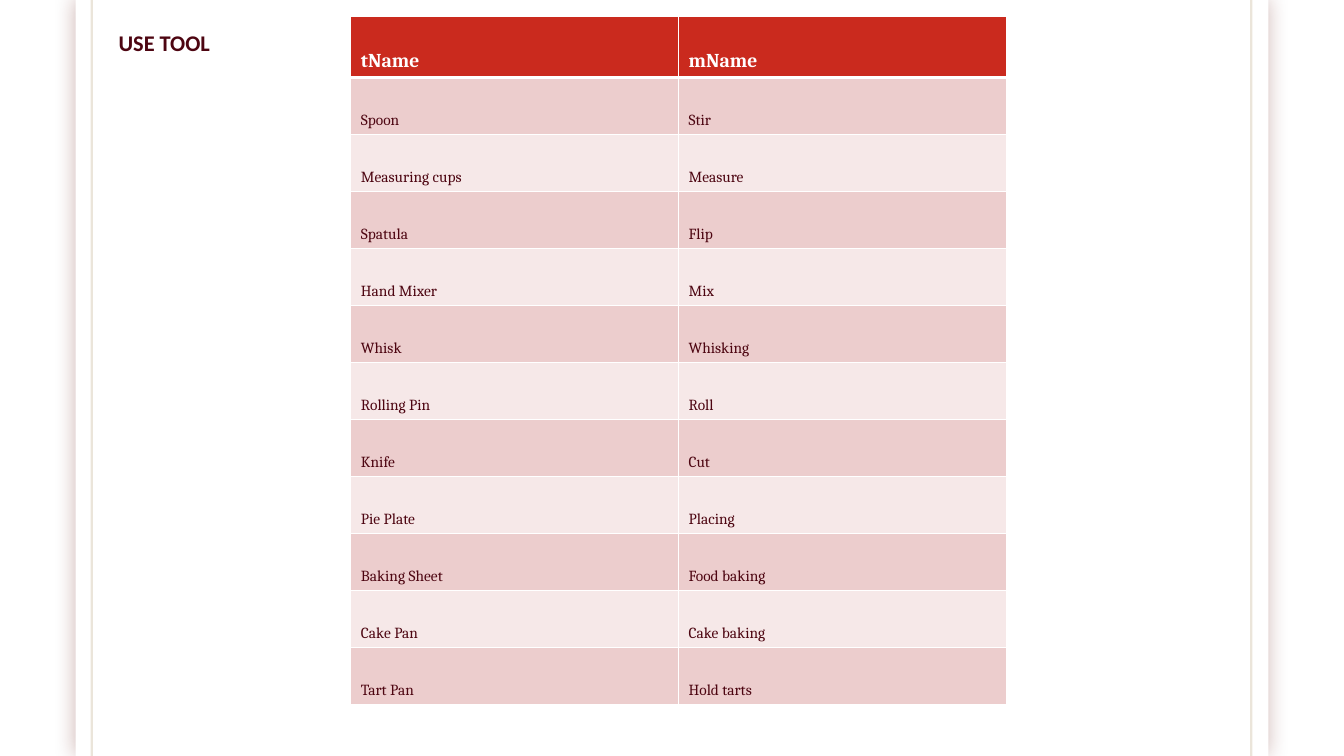
import pptx
import pptx.dml.color
import pptx.enum.shapes
import pptx.enum.text
import pptx.oxml
import pptx.oxml.ns
import pptx.util

Inches = pptx.util.Inches
Pt = pptx.util.Pt
RGBColor = pptx.dml.color.RGBColor

WHITE = RGBColor(0xFF, 0xFF, 0xFF)
MAROON = RGBColor(0x4D, 0x05, 0x11)
RED = RGBColor(0xCA, 0x2A, 0x1E)
ROSE = RGBColor(0xEC, 0xCD, 0xCD)
BLUSH = RGBColor(0xF6, 0xE8, 0xE8)
BROWN = RGBColor(0x79, 0x54, 0x0B)
SHADOW = RGBColor(0x65, 0x15, 0x0F)

SLIDE_HEIGHT = Inches(7.5)
HEADER_HEIGHT = Inches(0.61)
ROWS_HEIGHT = Inches(6.22)

TOOLS = [
    ("tName", "mName"),
    ("Spoon", "Stir"),
    ("Measuring cups", "Measure"),
    ("Spatula", "Flip"),
    ("Hand Mixer", "Mix"),
    ("Whisk", "Whisking"),
    ("Rolling Pin", "Roll"),
    ("Knife", "Cut"),
    ("Pie Plate", "Placing"),
    ("Baking Sheet", "Food baking"),
    ("Cake Pan", "Cake baking"),
    ("Tart Pan", "Hold tarts"),
]


def xml_element(markup):
    """Parse markup whose root carries the drawing namespace."""
    head, rest = markup.split(">", 1)
    namespace = pptx.oxml.ns.nsdecls("a")
    return pptx.oxml.parse_xml(f"{head} {namespace}>{rest}")


def format_text(paragraph, font_name, size, color, bold):
    """Format every run of a paragraph."""
    for run in paragraph.runs:
        run.font.name = font_name
        run.font.size = Pt(size)
        run.font.color.rgb = color
        run.font.bold = bold


def add_page(slide):
    """Add the white page with its soft glow at the sides."""
    page = slide.shapes.add_shape(
        pptx.enum.shapes.MSO_SHAPE.RECTANGLE,
        Inches(0.75), 0, Inches(11.83), SLIDE_HEIGHT,
    )
    page.fill.solid()
    page.fill.fore_color.rgb = WHITE
    page.line.fill.background()
    page._element.spPr.append(xml_element(
        f'<a:effectLst><a:outerShdw blurRad="{Pt(15)}" dist="0" dir="0" algn="ctr" rotWithShape="0">'
        f'<a:srgbClr val="{SHADOW}"><a:alpha val="30000"/></a:srgbClr>'
        "</a:outerShdw></a:effectLst>"
    ))


def add_margin_line(slide, left):
    """Add one pale vertical margin line."""
    line = slide.shapes.add_connector(
        pptx.enum.shapes.MSO_CONNECTOR.STRAIGHT, left, 0, left, SLIDE_HEIGHT
    )
    line.line.width = Pt(1.5)
    line.line.color.rgb = BROWN
    properties = line._element.spPr
    color = properties.find(".//" + pptx.oxml.ns.qn("a:srgbClr"))
    color.append(xml_element('<a:alpha val="15000"></a:alpha>'))
    properties.append(xml_element("<a:effectLst></a:effectLst>"))


def add_borders(cell, top, bottom):
    """Give a cell white borders, with top and bottom widths in points."""
    properties = cell._tc.get_or_add_tcPr()
    for side, width in (("L", 1), ("R", 1), ("T", top), ("B", bottom)):
        properties.append(xml_element(
            f'<a:ln{side} w="{Pt(width)}"><a:solidFill><a:srgbClr val="{WHITE}"/></a:solidFill>'
            f'<a:prstDash val="solid"/></a:ln{side}>'
        ))


def add_tool_table(slide):
    """Add the table of tools and their uses."""
    frame = slide.shapes.add_table(
        len(TOOLS), 2, Inches(3.48), Inches(0.16), Inches(6.5), HEADER_HEIGHT + ROWS_HEIGHT
    )
    table = frame.table
    for row_index, texts in enumerate(TOOLS):
        is_header = row_index == 0
        row_height = HEADER_HEIGHT if is_header else ROWS_HEIGHT // (len(TOOLS) - 1)
        table.rows[row_index].height = row_height
        fill = RED if is_header else (BLUSH, ROSE)[row_index % 2]
        for column_index, text in enumerate(texts):
            cell = table.cell(row_index, column_index)
            add_borders(cell, 3 if row_index == 1 else 1, 3 if is_header else 1)
            cell.fill.solid()
            cell.fill.fore_color.rgb = fill
            cell.vertical_anchor = pptx.enum.text.MSO_ANCHOR.BOTTOM
            cell.text_frame.text = text
            format_text(
                cell.text_frame.paragraphs[0], "Cambria",
                14 if is_header else 11, WHITE if is_header else MAROON, is_header,
            )


def add_heading(slide, text):
    """Add the slide heading."""
    box = slide.shapes.add_textbox(Inches(0.13), Inches(0.24), Inches(3), Inches(0.98))
    box.text_frame.word_wrap = True
    box.text_frame.text = text
    paragraph = box.text_frame.paragraphs[0]
    paragraph.alignment = pptx.enum.text.PP_ALIGN.CENTER
    format_text(paragraph, "Calibri", 16, MAROON, True)


def main():
    """Build and save the slide."""
    presentation = pptx.Presentation()
    presentation.slide_width = Inches(13.33)
    presentation.slide_height = SLIDE_HEIGHT
    slide = presentation.slides.add_slide(presentation.slide_layouts[6])
    add_page(slide)
    for left in (0.91, 12.41):
        add_margin_line(slide, Inches(left))
    add_tool_table(slide)
    add_heading(slide, "USE TOOL")
    presentation.save("out.pptx")


if __name__ == "__main__":
    main()
